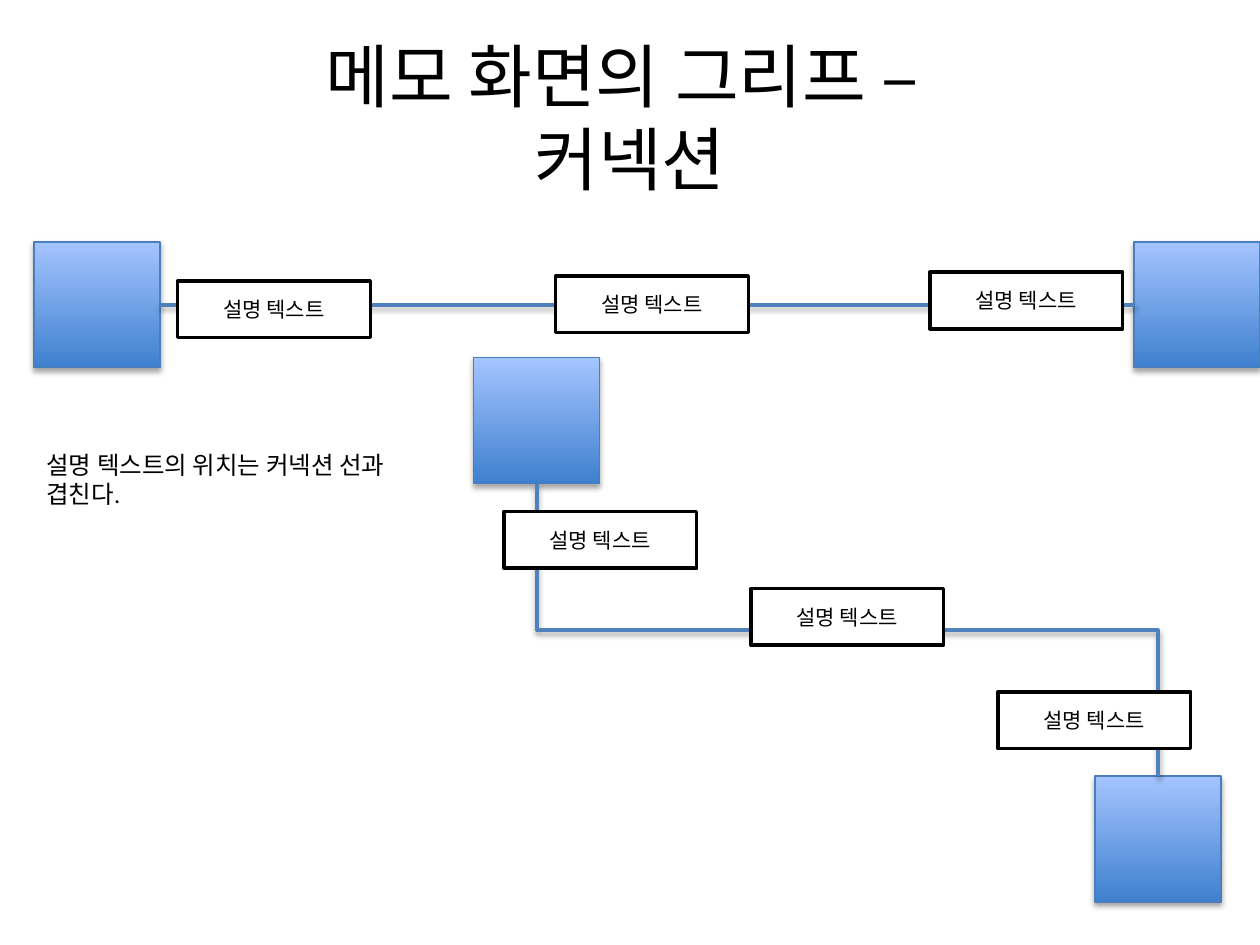
from dataclasses import dataclass
from lxml.etree import SubElement
from pptx import Presentation
from pptx.dml.color import RGBColor as RGB
from pptx.enum.shapes import MSO_CONNECTOR as CONN, MSO_SHAPE as SHAPE
from pptx.enum.text import MSO_ANCHOR as ANCHOR, MSO_AUTO_SIZE as AUTO, PP_ALIGN as ALIGN
from pptx.oxml.ns import qn
from pptx.util import Pt

EMU_PER_PX = 9144


@dataclass(frozen=True)
class Theme:
    font: str = "Calibri"
    ink: RGB = RGB(0, 0, 0)
    paper: RGB = RGB(255, 255, 255)
    link: RGB = RGB(0x4F, 0x81, 0xBD)
    edge: RGB = RGB(0x4B, 0x7E, 0xBC)
    grad: tuple = (RGB(0x3F, 0x80, 0xCE), RGB(0xA4, 0xC4, 0xFF))
    title_pt: float = 39.6
    note_pt: float = 14
    label_pt: float = 12
    heavy_pt: float = 2
    thin_pt: float = 0.75


@dataclass(frozen=True)
class Box:
    x: int
    y: int
    w: int
    h: int

    def emu(self) -> tuple:
        return tuple(v * EMU_PER_PX for v in (self.x, self.y, self.w, self.h))


THEME = Theme()
TITLE = Box(50, 30, 900, 125)
NOTE = Box(27, 352, 344, 57)
NODES = [Box(x, y, 100, 100) for x, y in ((27, 192), (900, 192), (376, 284), (869, 616))]
LABELS = [Box(x, y, 153, 45) for x, y in
          ((738, 216), (441, 219), (141, 223), (400, 406), (792, 549), (596, 467))]


def set_text(tf, text: str, size: float, align: ALIGN) -> None:
    tf.text = text
    tf.word_wrap = True
    p = tf.paragraphs[0]
    p.alignment = align
    p.font.name, p.font.size = THEME.font, Pt(size)
    p.font.color.rgb = THEME.ink


def set_line(sp, color: RGB, width: float) -> None:
    sp.line.color.rgb = color
    sp.line.width = Pt(width)


def add_shadow(sp, alpha: int, dist: int) -> None:
    effects = SubElement(sp._element.spPr, qn("a:effectLst"))
    outer = SubElement(effects, qn("a:outerShdw"), blurRad="40000", dist=str(dist),
                       dir="5400000", rotWithShape="0")
    color = SubElement(outer, qn("a:srgbClr"), val=str(THEME.ink))
    SubElement(color, qn("a:alpha"), val=str(alpha * 1000))


def add_node(shapes, box: Box):
    sp = shapes.add_shape(SHAPE.RECTANGLE, *box.emu())
    sp.fill.gradient()
    sp.fill.gradient_angle = 90
    for stop, color in zip(sp.fill.gradient_stops, THEME.grad):
        stop.color.rgb = color
    set_line(sp, THEME.edge, THEME.thin_pt)
    add_shadow(sp, 35, 23000)
    return sp


def add_label(shapes, box: Box) -> None:
    sp = shapes.add_shape(SHAPE.RECTANGLE, *box.emu())
    sp.shadow.inherit = False
    sp.fill.solid()
    sp.fill.fore_color.rgb = THEME.paper
    set_line(sp, THEME.ink, THEME.heavy_pt)
    sp.text_frame.vertical_anchor = ANCHOR.MIDDLE
    set_text(sp.text_frame, "설명 텍스트", THEME.label_pt, ALIGN.CENTER)


def add_link(shapes, kind: CONN, start, start_side: int, end, end_side: int):
    link = shapes.add_connector(kind, 0, 0, 0, 0)
    link.begin_connect(start, start_side)
    link.end_connect(end, end_side)
    set_line(link, THEME.link, THEME.heavy_pt)
    add_shadow(link, 38, 20000)
    return link


def turn_down(link) -> None:
    x, y, w, h = link.left, link.top, link.width, link.height
    link.left, link.top = x + (w - h) // 2, y + (h - w) // 2
    link.width, link.height = h, w
    xfrm = link._element.spPr.find(qn("a:xfrm"))
    xfrm.set("rot", "16200000")
    xfrm.set("flipH", "1")


def main() -> None:
    prs = Presentation()
    prs.slide_width, prs.slide_height = 1000 * EMU_PER_PX, 750 * EMU_PER_PX
    s = prs.slides.add_slide(prs.slide_layouts[5])

    title = s.shapes.title
    title.left, title.top, title.width, title.height = TITLE.emu()
    title.text_frame.auto_size = AUTO.NONE
    title.text_frame.vertical_anchor = ANCHOR.MIDDLE
    set_text(title.text_frame, "메모 화면의 그리프 – \v커넥션", THEME.title_pt, ALIGN.CENTER)

    left, right, upper, lower = [add_node(s.shapes, box) for box in NODES]
    add_link(s.shapes, CONN.STRAIGHT, left, 3, right, 1)
    turn_down(add_link(s.shapes, CONN.ELBOW, upper, 2, lower, 0))

    note = s.shapes.add_textbox(*NOTE.emu())
    set_text(note.text_frame, "설명 텍스트의 위치는 커넥션 선과 겹친다.", THEME.note_pt, ALIGN.LEFT)
    note.text_frame.auto_size = AUTO.SHAPE_TO_FIT_TEXT

    for box in LABELS:
        add_label(s.shapes, box)
    prs.save("out.pptx")


if __name__ == "__main__":
    main()
